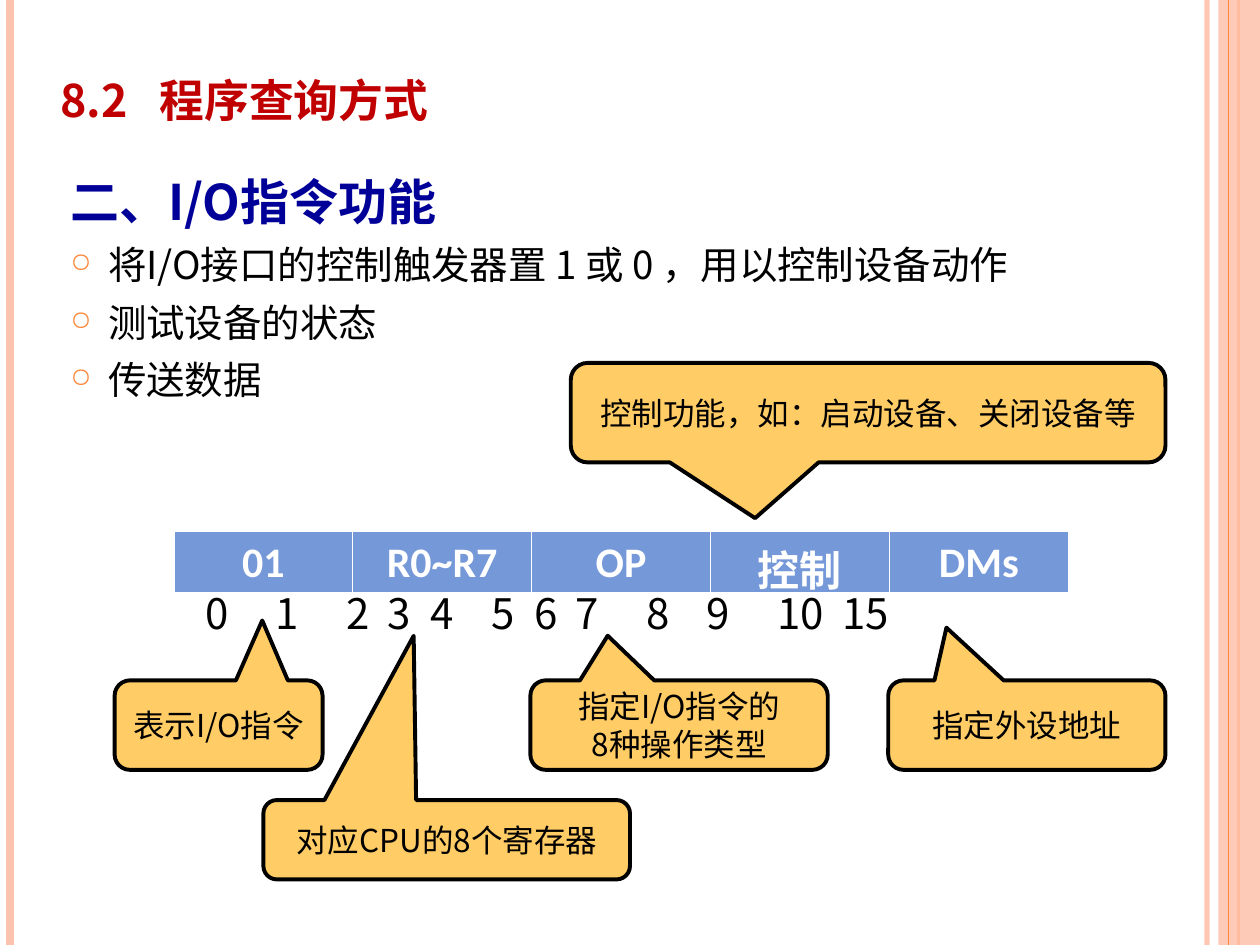
from lxml import etree
from pptx import Presentation
from pptx import util as u
from pptx.dml.color import RGBColor
from pptx.enum import shapes, text
from pptx.oxml import parse_xml
from pptx.oxml.ns import nsdecls, qn

PX = 9144  # EMU per px, 100 px to the inch
W, H = 1000, 750
SANS, LATIN = "Noto Sans CJK SC", "Calibri"
PINK, ORANGE, BLACK, WHITE = "FEC3AE", "FE8637", "000000", "FFFFFF"

# Content
TITLE = "8.2\t程序查询方式"
HEADING = "二、I/O指令功能"
BULLETS = ["将I/O接口的控制触发器置 1 或 0 ，用以控制设备动作", "测试设备的状态", "传送数据"]
FIELDS = ["01", "R0~R7", "OP", "控制", "DMs"]
# bit number, distance from the left of the text
BITS = [("0", 7), ("1", 63), ("2", 119), ("3", 152), ("4", 186), ("5", 234),
        ("6", 268), ("7", 301), ("8", 357), ("9", 405), ("10", 461), ("15", 513)]
# lines, box, pointer tip relative to the box
CALLOUTS = [
    (["表示I/O指令"], (91, 540, 165, 71), (0.21, -1.17)),
    (["指定I/O指令的", "8种操作类型"], (421, 540, 236, 71), (-0.24, -1)),
    (["指定外设地址"], (705, 540, 220, 71), (-0.29, -1.09)),
    (["对应CPU的8个寄存器"], (209, 635, 291, 63), (-0.09, -2.57)),
    (["控制功能，如：启动设备、关闭设备等"], (453, 288, 472, 79), (-0.19, 1.06)),
]
# x, colour, width in points, opacity in percent
RULES_BELOW = [(958, PINK, 3, 93), (8, PINK, 4.5, 100), (983, ORANGE, 1.5, 100)]
RULES_ABOVE = [(975, ORANGE, 0.75, 100)]
BAND, BAND_OPACITY = (967, 0, 33, H), 87

TITLE_FMT = dict(size=u.Pt(32), bold=True, color="C00000")
HEADING_FMT = dict(size=u.Pt(28), bold=True, color="000099")
BULLET_FMT = dict(size=u.Pt(22), bold=False, color=BLACK)
FIELD_FMT = dict(size=u.Pt(24), bold=True, color=WHITE, name=LATIN)
BITS_FMT = dict(size=u.Pt(24), color=BLACK)
CALLOUT_FMT = dict(size=u.Pt(18), color=BLACK)


def px(*values):
    return [u.Emu(v * PX) for v in values]


def rgb(value):
    return RGBColor.from_string(value)


def set_alpha(element, percent):
    for clr in element.iter(qn("a:srgbClr")):
        etree.SubElement(clr, qn("a:alpha")).set("val", str(percent * 1000))


def add_run(p, words, fmt):
    r = p.add_run()
    r.text = words
    for key, value in {"name": SANS, **fmt}.items():
        if key == "color":
            r.font.color.rgb = rgb(value)
        else:
            setattr(r.font, key, value)
    etree.SubElement(r.font._element, qn("a:ea")).set("typeface", SANS)
    return r


def add_tabs(p, stops):
    tabs = etree.SubElement(p._p.get_or_add_pPr(), qn("a:tabLst"))
    for stop in stops:
        etree.SubElement(tabs, qn("a:tab"), pos=str(stop * PX), algn="l")


def add_text(s, box, anchor=text.MSO_ANCHOR.TOP):
    tf = s.shapes.add_textbox(*px(*box)).text_frame
    tf.word_wrap = True
    tf.vertical_anchor = anchor
    return tf


def add_rules(s, rules):
    for x, color, width, opacity in rules:
        c = s.shapes.add_connector(shapes.MSO_CONNECTOR.STRAIGHT, *px(x, 0, x, H))
        c.line.color.rgb = rgb(color)
        c.line.width = u.Pt(width)
        props = c._element.spPr
        if opacity < 100:
            set_alpha(props, opacity)
        etree.SubElement(props, qn("a:effectLst"))


def add_band(s):
    sp = s.shapes.add_shape(shapes.MSO_SHAPE.RECTANGLE, *px(*BAND))
    sp.shadow.inherit = False
    sp.fill.solid()
    sp.fill.fore_color.rgb = rgb(PINK)
    sp.line.fill.background()
    set_alpha(sp._element.spPr, BAND_OPACITY)


def add_body(s):
    tf = add_text(s, (46, 115, 903, 236))
    tf.margin_top = px(10)[0]
    for i, words in enumerate([HEADING] + BULLETS):
        p = tf.paragraphs[0] if i == 0 else tf.add_paragraph()
        props = p._p.get_or_add_pPr()
        props.set("marL", str(30 * PX))
        props.set("indent", str(-30 * PX))
        if i:
            color = etree.SubElement(props, qn("a:buClr"))
            etree.SubElement(color, qn("a:srgbClr"), val=ORANGE)
            etree.SubElement(props, qn("a:buSzPct"), val="70000")
            etree.SubElement(props, qn("a:buChar"), char="○")
        p.line_spacing = 1.24
        add_run(p, words, BULLET_FMT if i else HEADING_FMT)


def add_fields(s):
    table = s.shapes.add_table(1, len(FIELDS), *px(138, 422, 710, 50)).table
    for cell, words in zip(table.rows[0].cells, FIELDS):
        props = cell._tc.get_or_add_tcPr()
        for side, points in (("L", 1), ("R", 1), ("T", 1), ("B", 3)):
            props.append(parse_xml(
                f'<a:ln{side} {nsdecls("a")} w="{u.Pt(points)}"><a:solidFill>'
                f'<a:srgbClr val="{WHITE}"/></a:solidFill></a:ln{side}>'))
        cell.fill.solid()
        cell.fill.fore_color.rgb = rgb("7598D9")
        p = cell.text_frame.paragraphs[0]
        p.alignment = text.PP_ALIGN.CENTER
        add_run(p, words, FIELD_FMT)


def add_callout(s, lines, box, tip):
    sp = s.shapes.add_shape(shapes.MSO_SHAPE.ROUNDED_RECTANGULAR_CALLOUT, *px(*box))
    sp.shadow.inherit = False
    for i, value in enumerate((*tip, 0.17)):
        sp.adjustments[i] = value
    sp.fill.solid()
    sp.fill.fore_color.rgb = rgb("FFCC66")
    sp.line.color.rgb = rgb(BLACK)
    sp.line.width = u.Pt(2.25)
    tf = sp.text_frame
    tf.word_wrap = False
    tf.vertical_anchor = text.MSO_ANCHOR.MIDDLE
    for i, words in enumerate(lines):
        p = tf.add_paragraph() if i else tf.paragraphs[0]
        p.alignment = text.PP_ALIGN.CENTER
        add_run(p, words, CALLOUT_FMT)


def main():
    prs = Presentation()
    prs.slide_width, prs.slide_height = px(W, H)
    s = prs.slides.add_slide(prs.slide_layouts[6])

    # Side decoration
    add_rules(s, RULES_BELOW)
    add_band(s)
    add_rules(s, RULES_ABOVE)

    # Title and list
    p = add_text(s, (38, 13, 817, 125), text.MSO_ANCHOR.MIDDLE).paragraphs[0]
    add_tabs(p, [79])
    add_run(p, TITLE, TITLE_FMT).font._element.set("cap", "small")
    add_body(s)

    # Instruction format with its bit numbers
    add_fields(s)
    p = add_text(s, (146, 461, 709, 50)).paragraphs[0]
    add_tabs(p, [stop for _, stop in BITS])
    add_run(p, "".join("\t" + bit for bit, _ in BITS), BITS_FMT)

    # Explanations
    for callout in CALLOUTS:
        add_callout(s, *callout)

    prs.save("out.pptx")


if __name__ == "__main__":
    main()
